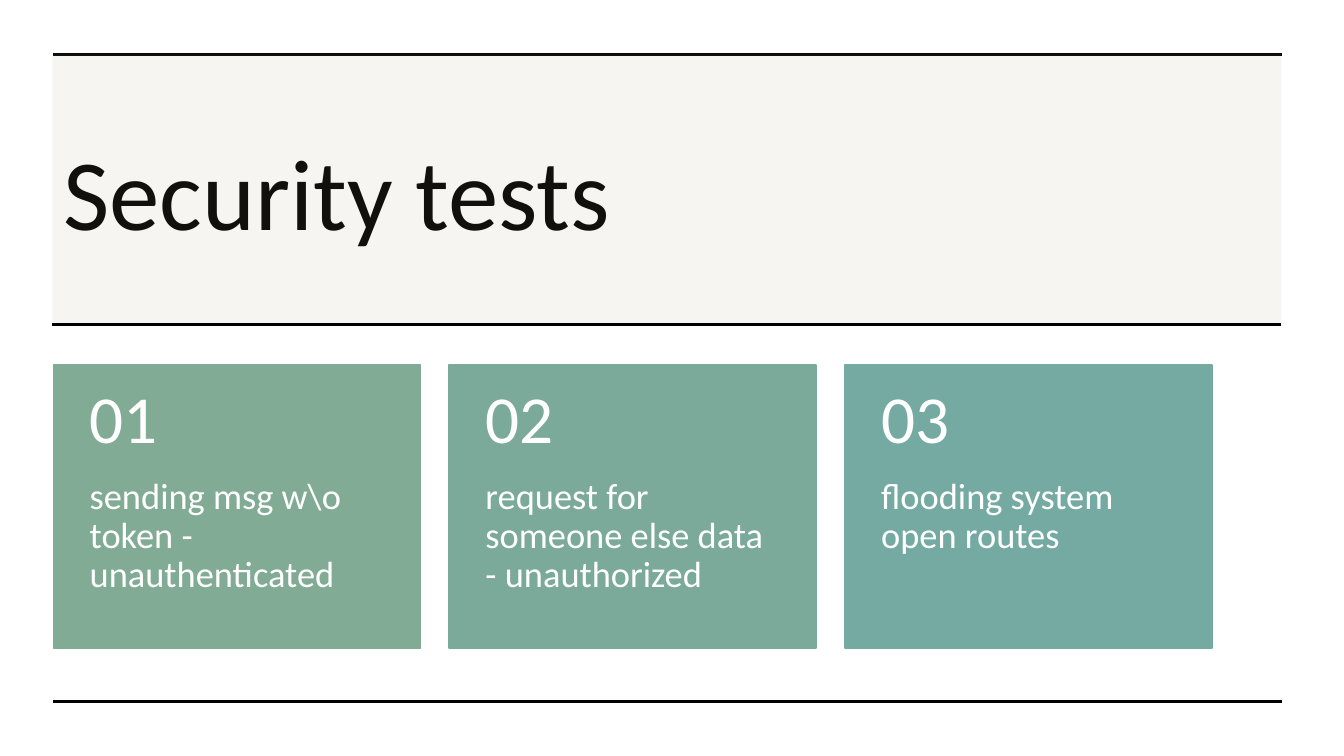
from dataclasses import dataclass

from lxml.etree import SubElement
from pptx import Presentation
from pptx.dml.color import RGBColor
from pptx.enum.shapes import MSO_CONNECTOR, MSO_SHAPE
from pptx.enum.text import MSO_ANCHOR, MSO_AUTO_SIZE, PP_ALIGN
from pptx.oxml.ns import qn
from pptx.shapes.autoshape import Shape
from pptx.slide import Slide
from pptx.util import Inches, Pt


@dataclass
class Card:
    label: str
    note: str
    fill: str


CARDS = [
    Card("01", "sending msg w\\o token - unauthenticated", "81AB94"),
    Card("02", "request for someone else data - unauthorized", "7BAA9A"),
    Card("03", "flooding system open routes", "74AAA2"),
]
LEFT, TOP, PITCH = 0.53, 3.62, 3.925
WIDTH, HEIGHT, HEAD = 3.64, 2.81, 1.12
SPAN = 12.19


def color(code: str) -> RGBColor:
    return RGBColor.from_string(code)


def write(shape: Shape, text: str, *, size: float, ink: str = "FFFFFF",
          anchor: MSO_ANCHOR = MSO_ANCHOR.TOP, space: float = 0.9,
          inset: tuple[float, float, float, float] = (0.1, 0.05, 0.1, 0.05)) -> None:
    frame = shape.text_frame
    frame.word_wrap = True
    frame.auto_size = MSO_AUTO_SIZE.NONE
    frame.vertical_anchor = anchor
    (frame.margin_left, frame.margin_top,
     frame.margin_right, frame.margin_bottom) = map(Inches, inset)
    para = frame.paragraphs[0]
    para.alignment = PP_ALIGN.LEFT
    para.line_spacing = space
    run = para.add_run()
    run.text = text
    run.font.name = "Calibri"
    run.font.size = Pt(size)
    run.font.color.rgb = color(ink)


def block(slide: Slide, left: float, top: float, width: float, height: float,
          fill: str) -> Shape:
    shape = slide.shapes.add_shape(MSO_SHAPE.RECTANGLE, Inches(left), Inches(top),
                                   Inches(width), Inches(height))
    shape.shadow.inherit = False
    shape.fill.solid()
    shape.fill.fore_color.rgb = color(fill)
    shape.line.fill.background()
    return shape


def rule(slide: Slide, left: float, top: float) -> None:
    line = slide.shapes.add_connector(MSO_CONNECTOR.STRAIGHT, Inches(left), Inches(top),
                                      Inches(left + SPAN), Inches(top))
    line.line.color.rgb = color("000000")
    line.line.width = Pt(2.25)
    SubElement(line.element.spPr, qn("a:effectLst"))


def band(slide: Slide) -> None:
    shape = block(slide, 0.52, 0.53, SPAN, 2.69, "AAA180")
    tint = shape.element.spPr.find(qn("a:solidFill")).find(qn("a:srgbClr"))
    SubElement(tint, qn("a:alpha"), val="10000")


def title(slide: Slide, text: str) -> None:
    shape = slide.shapes.title
    shape.left, shape.top = Inches(LEFT), Inches(1.07)
    shape.width, shape.height = Inches(9.2), Inches(1.63)
    write(shape, text, size=72, ink="000000", anchor=MSO_ANCHOR.MIDDLE, space=1.0)


def draw(slide: Slide, card: Card, left: float) -> None:
    tile = block(slide, left, TOP, WIDTH, HEIGHT, card.fill)
    tile.line.color.rgb = color(card.fill)
    tile.line.width = Pt(1)
    note = slide.shapes.add_textbox(Inches(left), Inches(TOP + HEAD),
                                    Inches(WIDTH), Inches(HEIGHT - HEAD))
    write(note, card.note, size=26, inset=(0.36, 0, 0.36, 0.36))
    label = slide.shapes.add_textbox(Inches(left), Inches(TOP), Inches(WIDTH), Inches(HEAD))
    write(label, card.label, size=48, anchor=MSO_ANCHOR.MIDDLE,
          inset=(0.36, 0.18, 0.36, 0.18))


def main() -> None:
    deck = Presentation()
    deck.slide_width, deck.slide_height = Inches(13.33), Inches(7.5)
    slide = deck.slides.add_slide(deck.slide_layouts[5])
    slide.background.fill.solid()
    slide.background.fill.fore_color.rgb = color("FFFFFF")
    rule(slide, LEFT, 0.54)
    band(slide)
    title(slide, "Security tests")
    rule(slide, 0.52, 3.22)
    rule(slide, LEFT, 6.96)
    for index, card in enumerate(CARDS):
        draw(slide, card, LEFT + index * PITCH)
    deck.save("out.pptx")


if __name__ == "__main__":
    main()
